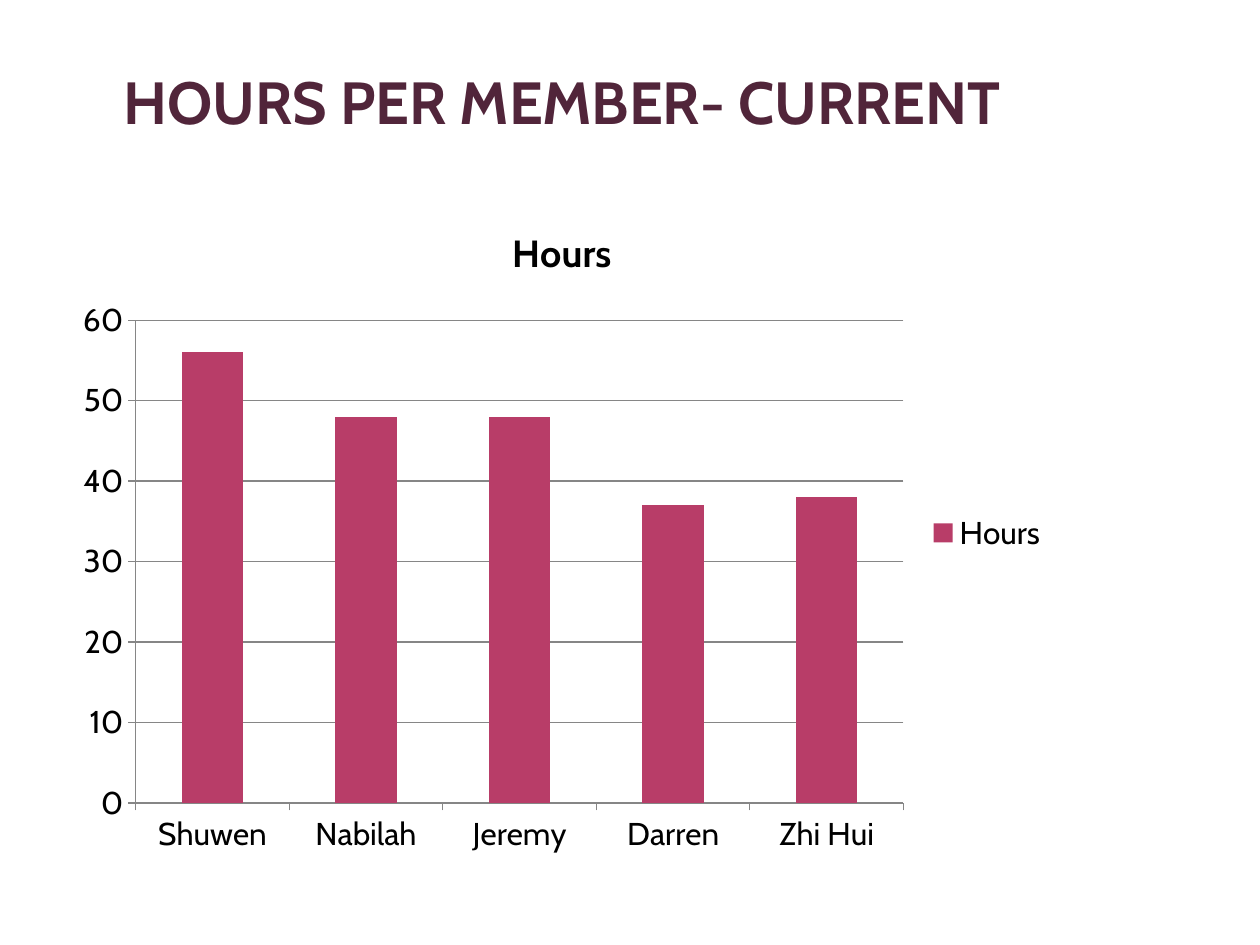
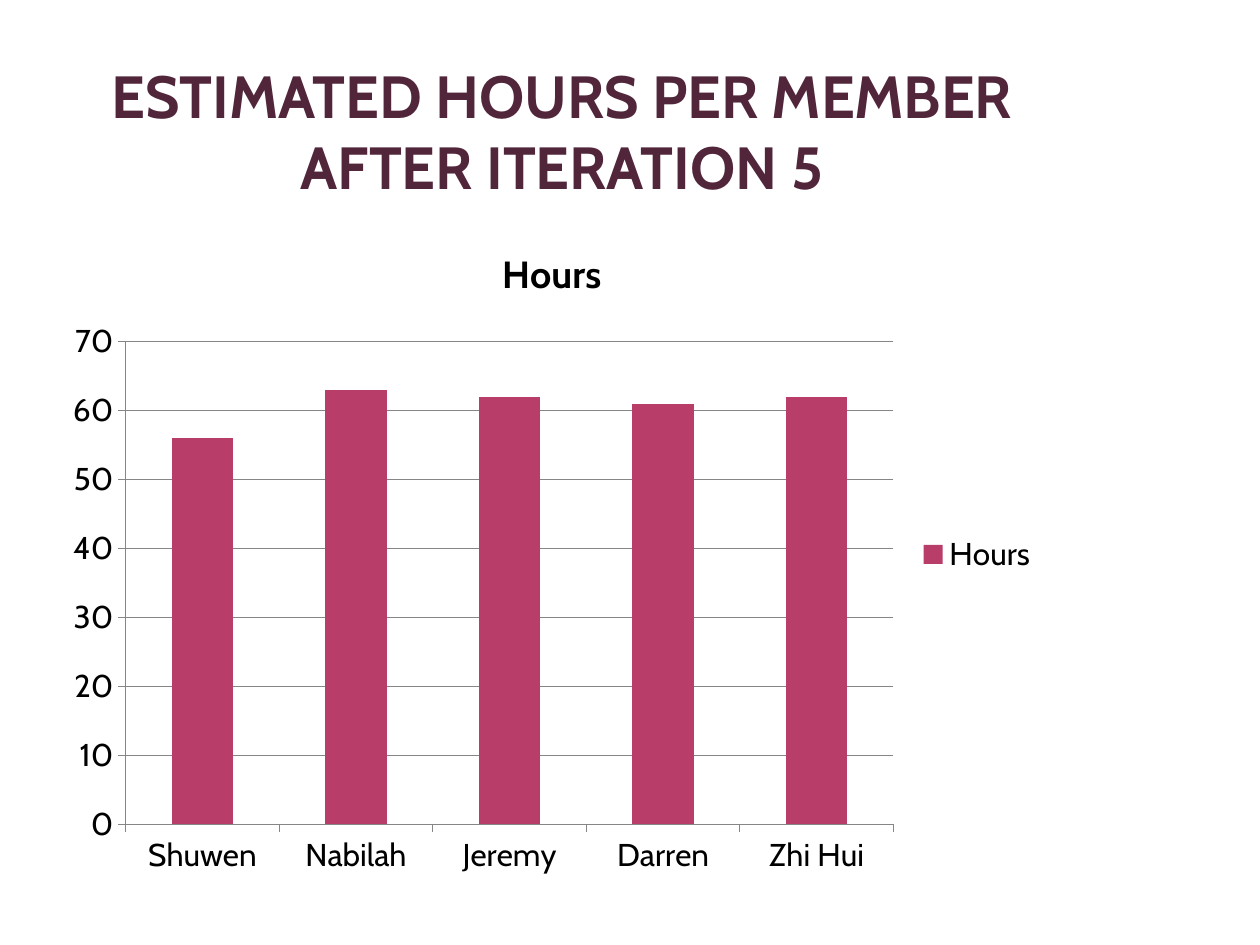
from dataclasses import dataclass

from pptx import Presentation
from pptx.chart.data import CategoryChartData
from pptx.dml.color import RGBColor
from pptx.enum.chart import XL_CHART_TYPE, XL_LEGEND_POSITION, XL_TICK_MARK
from pptx.enum.text import MSO_ANCHOR, PP_ALIGN
from pptx.util import Pt

COLORS = {"title": "51253A", "bar": "B83D68", "text": "000000", "axis": "868686", "background": "FFFFFF"}
FONT = "Cabin"
MEMBERS = ("Shuwen", "Nabilah", "Jeremy", "Darren", "Zhi Hui")
MEASURE = "Hours"
CONTENT_WIDTH = 570.24
TITLE_LEFT, TITLE_HEIGHT = 36, 90
CHART_HEIGHT = 381.6


@dataclass(frozen=True)
class HoursSlide:
    """One slide with a title and a chart of hours; positions in points."""
    title_lines: tuple[str, ...]
    title_top: float
    chart_left: float
    chart_top: float
    hours: tuple[int, ...]
    axis_maximum: int


HOURS_SLIDES = (
    HoursSlide(("HOURS PER MEMBER- CURRENT",), -12.24, 36, 113.76, (56, 48, 48, 37, 38), 60),
    HoursSlide(("ESTIMATED HOURS PER MEMBER", "AFTER ITERATION 5"), 25.2, 30.24, 126,
               (56, 63, 62, 61, 62), 70),
)


def color(name: str) -> RGBColor:
    """Look up a named colour."""
    return RGBColor.from_string(COLORS[name])


def style_font(font, size: float, color_name: str, bold: bool = False) -> None:
    """Apply the shared typeface with a size, colour and weight."""
    font.name = FONT
    font.size = Pt(size)
    font.bold = bold
    font.color.rgb = color(color_name)


def add_title(slide, content: HoursSlide) -> None:
    """Add the bottom-anchored, centred slide title."""
    shape = slide.shapes.add_textbox(Pt(TITLE_LEFT), Pt(content.title_top),
                                     Pt(CONTENT_WIDTH), Pt(TITLE_HEIGHT))
    frame = shape.text_frame
    frame.word_wrap = True
    frame.vertical_anchor = MSO_ANCHOR.BOTTOM
    frame.margin_left = frame.margin_right = Pt(3.6)
    frame.margin_top = frame.margin_bottom = Pt(0)
    paragraph = frame.paragraphs[0]
    paragraph.alignment = PP_ALIGN.CENTER
    for index, line in enumerate(content.title_lines):
        if index:
            paragraph.add_line_break()
        run = paragraph.add_run()
        run.text = line
        style_font(run.font, 34, "title", bold=True)


def style_axis(axis) -> None:
    """Give an axis its grey line, outside ticks and label font."""
    axis.major_tick_mark = XL_TICK_MARK.OUTSIDE
    axis.minor_tick_mark = XL_TICK_MARK.NONE
    axis.format.line.color.rgb = color("axis")
    axis.format.line.width = Pt(0.75)
    style_font(axis.tick_labels.font, 18, "text")


def add_hours_chart(slide, content: HoursSlide) -> None:
    """Add the column chart of hours per member."""
    data = CategoryChartData()
    data.categories = MEMBERS
    data.add_series(MEASURE, content.hours)
    chart = slide.shapes.add_chart(
        XL_CHART_TYPE.COLUMN_CLUSTERED, Pt(content.chart_left), Pt(content.chart_top),
        Pt(CONTENT_WIDTH), Pt(CHART_HEIGHT), data).chart
    style_font(chart.font, 18, "text")

    chart.has_title = True
    run = chart.chart_title.text_frame.paragraphs[0].add_run()
    run.text = MEASURE
    style_font(run.font, 21.6, "text", bold=True)
    chart.chart_title.include_in_layout = False

    chart.has_legend = True
    chart.legend.position = XL_LEGEND_POSITION.RIGHT
    chart.legend.include_in_layout = False
    style_font(chart.legend.font, 18, "text")

    style_axis(chart.category_axis)
    value_axis = chart.value_axis
    style_axis(value_axis)
    value_axis.minimum_scale = 0
    value_axis.maximum_scale = content.axis_maximum
    value_axis.major_unit = 10
    gridlines = value_axis.major_gridlines.format.line
    gridlines.color.rgb = color("axis")
    gridlines.width = Pt(0.75)

    plot = chart.plots[0]
    plot.gap_width = 150
    plot.vary_by_categories = False
    fill = plot.series[0].format.fill
    fill.solid()
    fill.fore_color.rgb = color("bar")


def build() -> None:
    """Build and save the presentation."""
    presentation = Presentation()
    presentation.slide_width, presentation.slide_height = Pt(720), Pt(540)
    for content in HOURS_SLIDES:
        slide = presentation.slides.add_slide(presentation.slide_layouts[6])
        slide.background.fill.solid()
        slide.background.fill.fore_color.rgb = color("background")
        add_title(slide, content)
        add_hours_chart(slide, content)
    presentation.save("out.pptx")


build()
